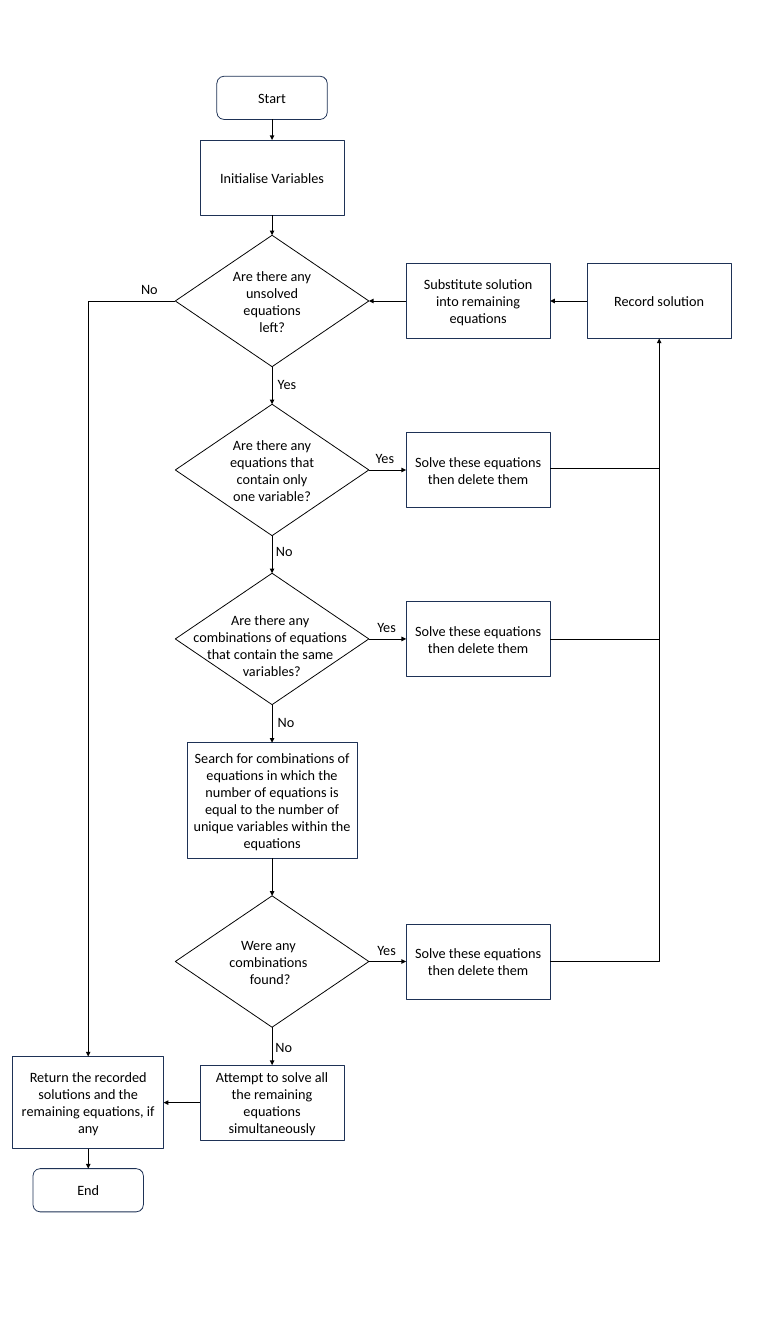
import pptx
import pptx.dml.color
import pptx.enum.shapes
import pptx.enum.text
import pptx.oxml.ns
import pptx.util
from lxml import etree

SHAPE = pptx.enum.shapes.MSO_SHAPE
CONNECTOR = pptx.enum.shapes.MSO_CONNECTOR
ALIGN = pptx.enum.text.PP_ALIGN
ANCHOR = pptx.enum.text.MSO_ANCHOR
FIT = pptx.enum.text.MSO_AUTO_SIZE
Inches = pptx.util.Inches
qn = pptx.oxml.ns.qn

# Column centres and row centres of the flowchart, in inches
RETURN, FLOW, SOLVE, RECORD = 1.55, 4.78, 8.4, 11.58
TOP_ROW, ROW_STEP = 5.29, 2.97
UNSOLVED, SINGLE, SAME = (TOP_ROW + i * ROW_STEP for i in range(3))
START, INIT, SEARCH, FOUND, ATTEMPT, END = 1.72, 3.12, 14.07, 16.9, 19.38, 20.92

# Width and height of each kind of element
BOX, DIAMOND, TERMINAL = (2.53, 1.32), (3.4, 2.31), (1.94, 0.76)
SEARCH_BOX, RETURN_BOX = (2.98, 2.03), (2.65, 1.62)
LABEL_WIDTHS = {"Yes": 0.53, "No": 0.5}
LABEL_HEIGHT = 0.4
BLACK, NAVY, WHITE = "000000", "1E3256", "FFFFFF"


def rgb(color):
    return pptx.dml.color.RGBColor.from_string(color)


def write(tf, lines, align):
    for i, line in enumerate(lines):
        p = tf.paragraphs[0] if i == 0 else tf.add_paragraph()
        p.alignment = align
        r = p.add_run()
        r.text = line
        r.font.name = "Calibri"
        r.font.size = pptx.util.Pt(18)
        r.font.color.rgb = rgb(BLACK)


def node(s, kind, cx, cy, size, text="", line=NAVY, fill=None):
    """Add a flowchart shape centred on a column and a row."""
    w, h = size
    sp = s.shapes.add_shape(kind, Inches(cx - w / 2), Inches(cy - h / 2),
                            Inches(w), Inches(h))
    sp.shadow.inherit = False
    if fill:
        sp.fill.solid()
        sp.fill.fore_color.rgb = rgb(fill)
    else:
        sp.fill.background()
    sp.line.color.rgb = rgb(line)
    sp.line.width = pptx.util.Pt(1)
    if text:
        tf = sp.text_frame
        tf.word_wrap = True
        tf.vertical_anchor = ANCHOR.MIDDLE
        write(tf, [text], ALIGN.CENTER)


def text_box(s, left, top, w, h, lines, align=ALIGN.LEFT, wrap=False):
    tf = s.shapes.add_textbox(Inches(left), Inches(top), Inches(w), Inches(h)).text_frame
    tf.word_wrap = wrap
    tf.auto_size = FIT.SHAPE_TO_FIT_TEXT
    write(tf, lines, align)


def label(s, text, left, top):
    text_box(s, left, top, LABEL_WIDTHS[text], LABEL_HEIGHT, [text])


def link(s, start, end, arrow=True):
    """Join two points; a bent link runs across first, then up or down."""
    bent = start[0] != end[0] and start[1] != end[1]
    kind = CONNECTOR.ELBOW if bent else CONNECTOR.STRAIGHT
    cxn = s.shapes.add_connector(kind, *(Inches(v) for v in start + end))
    cxn.line.color.rgb = rgb(BLACK)
    cxn.line.width = pptx.util.Pt(0.5)
    sp_pr = cxn._element.spPr
    if bent:
        sp_pr.find(qn("a:prstGeom")).set("prst", "bentConnector2")
    if arrow:
        etree.SubElement(sp_pr.find(qn("a:ln")), qn("a:tailEnd"), type="triangle")
    etree.SubElement(sp_pr, qn("a:effectLst"))


def add_nodes(s):
    # Start and end
    node(s, SHAPE.ROUNDED_RECTANGLE, FLOW, START, TERMINAL, "Start", fill=WHITE)
    node(s, SHAPE.ROUNDED_RECTANGLE, RETURN, END, TERMINAL, "End", fill=WHITE)

    # Process boxes
    solve = "Solve these equations then delete them"
    for cx, cy, size, text in [
        (FLOW, INIT, BOX, "Initialise Variables"),
        (SOLVE, UNSOLVED, BOX, "Substitute solution into remaining equations"),
        (RECORD, UNSOLVED, BOX, "Record solution"),
        (SOLVE, SINGLE, BOX, solve),
        (SOLVE, SAME, BOX, solve),
        (SOLVE, FOUND, BOX, solve),
        (FLOW, SEARCH, SEARCH_BOX, "Search for combinations of equations in which the number of "
         "equations is equal to the number of unique variables within the equations"),
        (FLOW, ATTEMPT, BOX, "Attempt to solve all the remaining equations simultaneously"),
        (RETURN, ATTEMPT, RETURN_BOX,
         "Return the recorded solutions and the remaining equations, if any"),
    ]:
        node(s, SHAPE.RECTANGLE, cx, cy, size, text)

    # Decisions; the wider texts lie in boxes of their own
    for cy, text in [
        (UNSOLVED, "Are there any unsolved equations left?"),
        (SINGLE, "Are there any equations that contain only one variable?"),
        (SAME, ""),
        (FOUND, ""),
    ]:
        node(s, SHAPE.DIAMOND, FLOW, cy, DIAMOND, text, line=BLACK)
    text_box(s, 3, 10.69, 3.55, 1.31,
             ["Are there any ", "combinations of equations ",
              "that contain the same ", "variables?"], ALIGN.CENTER, True)
    text_box(s, 2.97, 16.4, 3.55, 1.01,
             ["Were any ", "combinations ", "found?"], ALIGN.CENTER, True)


def add_links(s):
    # Down the main column, from each bottom edge to the next top edge
    column = [(START, TERMINAL), (INIT, BOX), (UNSOLVED, DIAMOND), (SINGLE, DIAMOND),
              (SAME, DIAMOND), (SEARCH, SEARCH_BOX), (FOUND, DIAMOND), (ATTEMPT, BOX)]
    for (y1, size1), (y2, size2) in zip(column, column[1:]):
        link(s, (FLOW, y1 + size1[1] / 2), (FLOW, y2 - size2[1] / 2))
    link(s, (RETURN, ATTEMPT + RETURN_BOX[1] / 2), (RETURN, END - TERMINAL[1] / 2))

    # Decisions to solving, then on to the recording line
    decision_right = FLOW + DIAMOND[0] / 2
    solve_left, solve_right = SOLVE - BOX[0] / 2, SOLVE + BOX[0] / 2
    for cy in (SINGLE, SAME, FOUND):
        link(s, (decision_right, cy), (solve_left, cy))
    for cy in (SINGLE - 0.03, SAME):
        link(s, (solve_right, cy), (RECORD, cy), arrow=False)
    link(s, (solve_right, FOUND), (RECORD, UNSOLVED + BOX[1] / 2))

    # Back to the first decision, and out to the result
    link(s, (RECORD - BOX[0] / 2, UNSOLVED), (solve_right, UNSOLVED))
    link(s, (solve_left, UNSOLVED), (decision_right, UNSOLVED))
    link(s, (FLOW - DIAMOND[0] / 2, UNSOLVED), (RETURN, ATTEMPT - RETURN_BOX[1] / 2))
    link(s, (FLOW - BOX[0] / 2, ATTEMPT), (RETURN + RETURN_BOX[0] / 2, ATTEMPT))


def add_labels(s):
    for text, left, top in [
        ("Yes", 4.78, 6.55), ("Yes", 6.5, 7.85), ("Yes", 6.53, 10.81), ("Yes", 6.53, 16.5),
        ("No", 2.38, 4.87), ("No", 4.75, 9.49), ("No", 4.78, 12.48), ("No", 4.74, 18.2),
    ]:
        label(s, text, left, top)


def main():
    prs = pptx.Presentation()
    prs.slide_width, prs.slide_height = Inches(40 / 3), pptx.util.Cm(60)
    s = prs.slides.add_slide(prs.slide_layouts[6])
    add_nodes(s)
    add_links(s)
    add_labels(s)
    prs.save("out.pptx")


if __name__ == "__main__":
    main()
